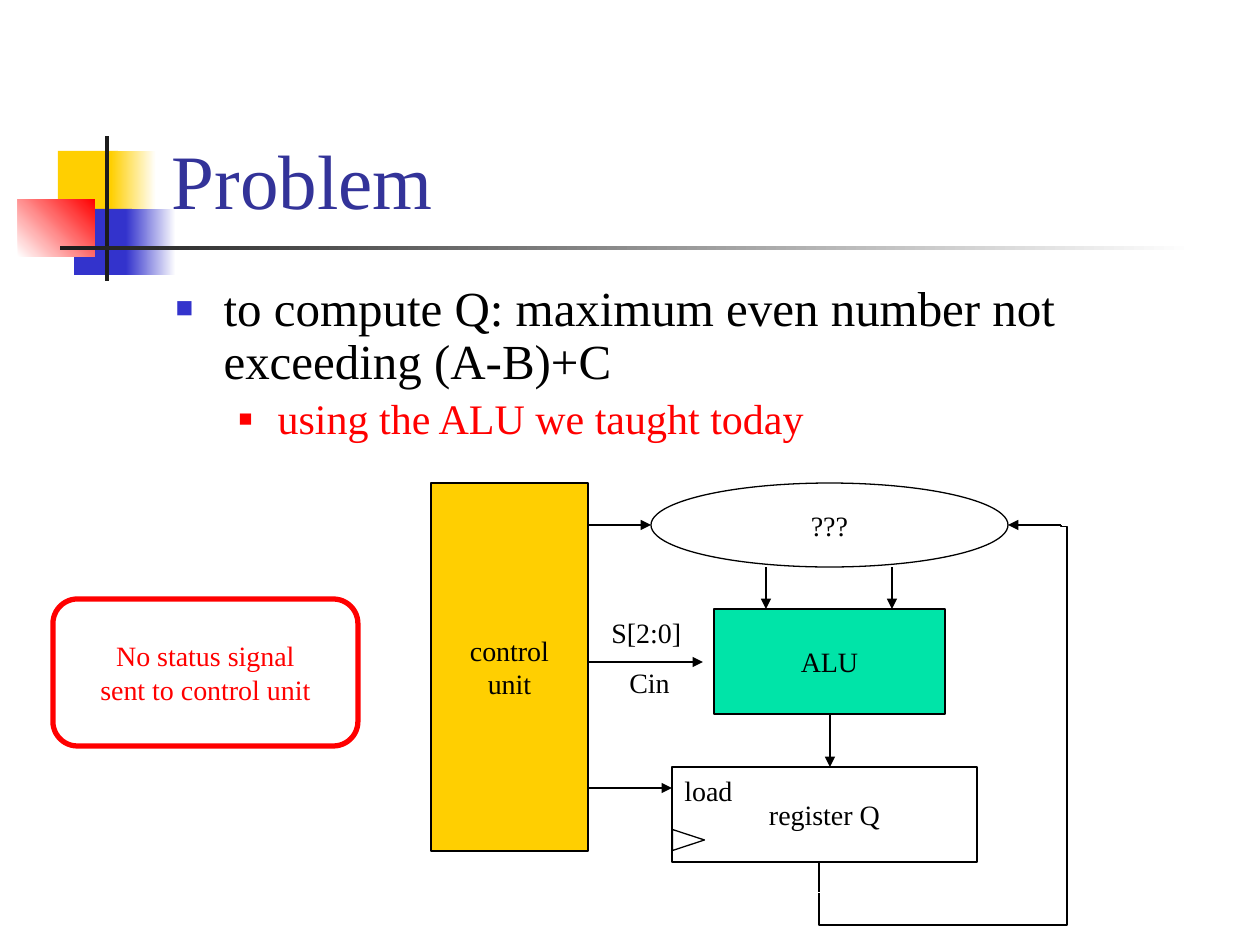
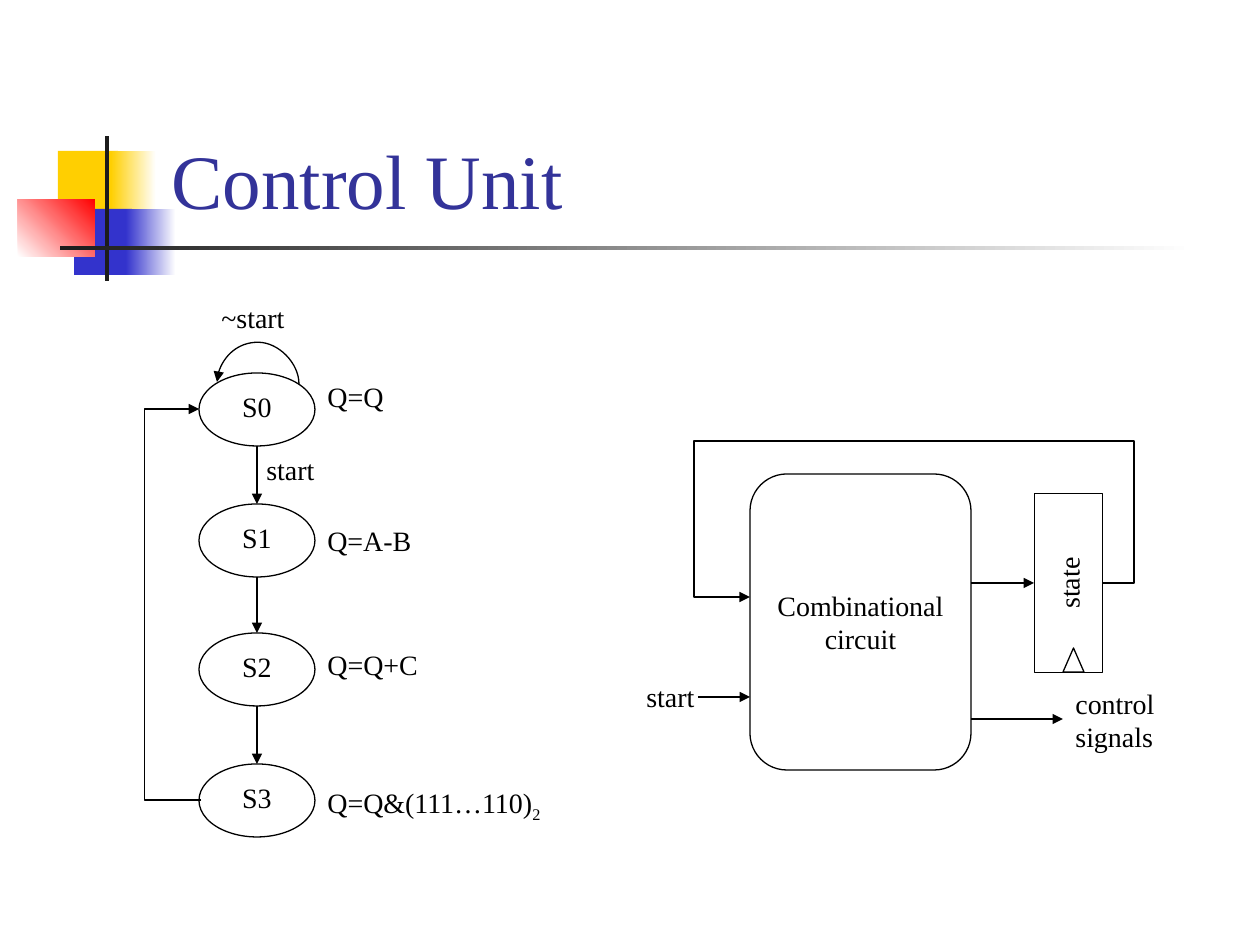
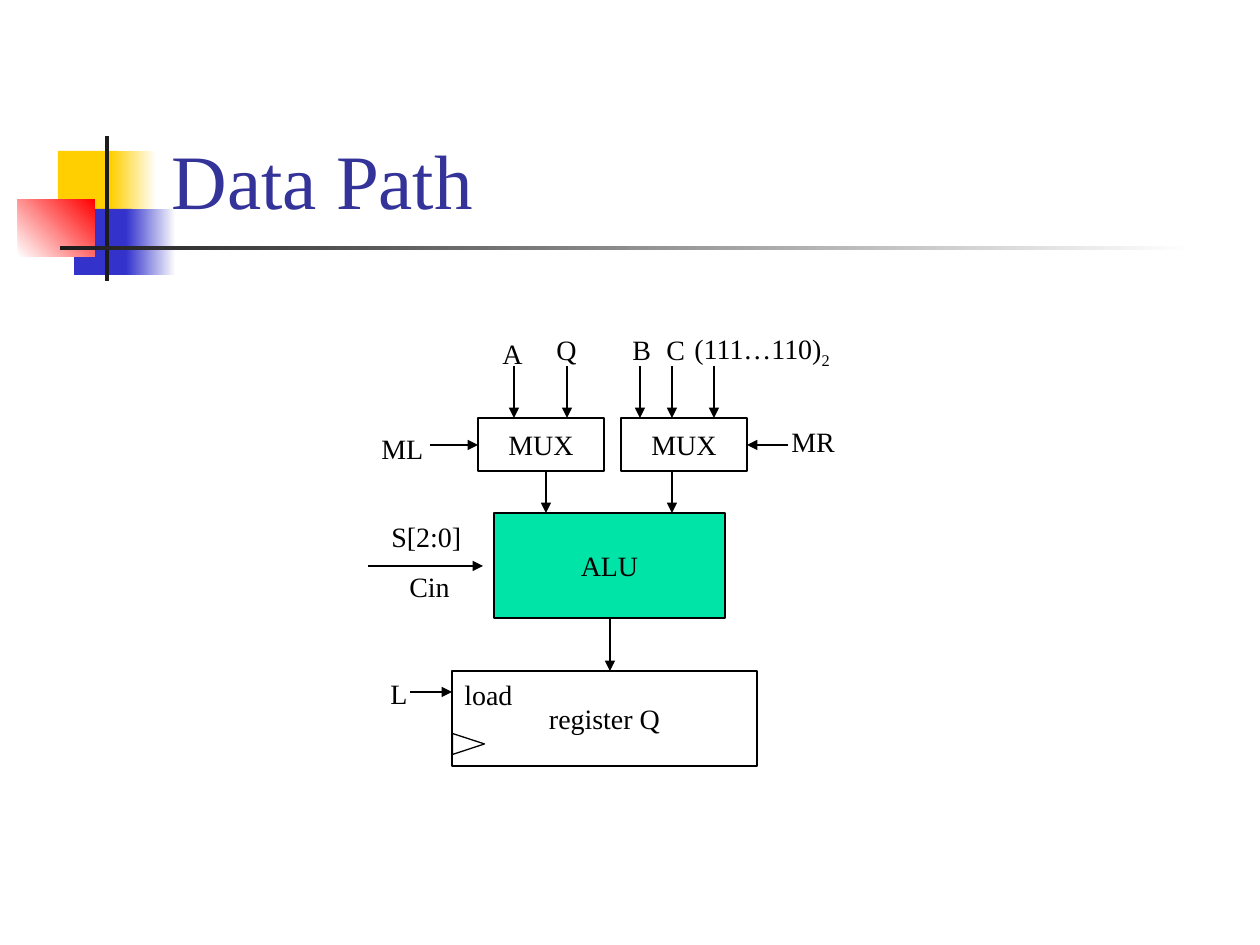
from dataclasses import dataclass

from lxml.etree import SubElement
from pptx import Presentation
from pptx.dml.color import RGBColor as Rgb
from pptx.enum.shapes import MSO_CONNECTOR as Wire, MSO_SHAPE as Form
from pptx.enum.text import MSO_ANCHOR as Anchor, MSO_AUTO_SIZE as Fit, PP_ALIGN as Align
from pptx.oxml.ns import qn
from pptx.util import Emu, Pt

SCALE = 914400 / 126


@dataclass(frozen=True)
class Theme:
    """Colours, font and type sizes of the deck."""
    font: str = "Times New Roman"
    ink: str = "000000"
    title: str = "333399"
    gold: str = "FFCF01"
    blue: str = "3333CC"
    red: str = "FF0000"
    dark: str = "1C1C1C"
    white: str = "FFFFFF"
    green: str = "00E4A8"
    head: int = 44
    lead: int = 28
    sub: int = 24
    text: int = 16
    thin: float = 0.75
    bold: float = 3


def px(*vals):
    """Turn pixels into EMU."""
    return [Emu(round(v * SCALE)) for v in vals]


class Deck:
    """Holds the theme and the current slide, and draws on it."""

    def __init__(self, theme):
        """Open a blank deck of 1260 by 945 pixels."""
        self.theme = theme
        self.prs = Presentation()
        self.prs.slide_width, self.prs.slide_height = px(1260, 945)
        self.slide = None

    def page(self, title, layout=5):
        """Add a slide with its title; the first one also sets up the master."""
        first = self.slide is None
        self.slide = self.prs.slides.add_slide(self.prs.slide_layouts[layout])
        if first:
            self.band()
        head = self.slide.shapes.title
        self.place(head, (159, 29, 1074, 202))
        frame = head.text_frame
        frame.vertical_anchor = Anchor.BOTTOM
        frame.auto_size = Fit.NONE
        self.words(frame, title, self.theme.head, self.theme.title, Align.LEFT)

    def band(self):
        """Draw the ornament once and hand it to the master."""
        t = self.theme
        parts = [
            ((58, 151, 60, 66), t.gold, None, 0),
            ((111, 151, 45, 66), t.gold, t.white, 0),
            ((74, 209, 58, 66), t.blue, None, 0),
            ((126, 209, 50, 66), t.blue, t.white, 0),
            ((18, 199, 77, 58), t.white, t.red, 45),
            ((105, 136, 4, 145), t.dark, None, 0),
            ((60, 246, 1134, 4), t.dark, t.white, 0),
        ]
        tree = self.prs.slide_master.shapes.element
        for i, (box, start, end, angle) in enumerate(parts):
            part = self.shape(Form.RECTANGLE, box, fill=start)
            part.line.fill.background()
            if end:
                part.fill.gradient()
                part.fill.gradient_angle = angle
                for stop, tint in zip(part.fill.gradient_stops, (start, end)):
                    stop.color.rgb = Rgb.from_string(tint)
            part.element.nvSpPr.cNvPr.set("id", str(100 + i))
            tree.insert(2 + i, part.element)

    def place(self, item, box):
        """Set the place and size of an item."""
        item.left, item.top, item.width, item.height = px(*box)

    def run(self, para, text, size, color):
        """Add one styled run."""
        run = para.add_run()
        run.text = text
        run.font.name = self.theme.font
        run.font.size = Pt(size)
        run.font.color.rgb = Rgb.from_string(color)
        return run

    def words(self, frame, text, size, color, align):
        """Fill a frame; lines become paragraphs, an underscore starts a subscript."""
        for i, line in enumerate(text.split("\n")):
            para = frame.add_paragraph() if i else frame.paragraphs[0]
            para.alignment = align
            main, _, low = line.partition("_")
            self.run(para, main, size, color)
            if low:
                small = self.run(para, low, size, color)
                small._r.get_or_add_rPr().set("baseline", "-25000")

    def bullets(self, box, items):
        """Fill the body with (text, level) items."""
        t = self.theme
        looks = [(t.lead, t.ink, t.blue, 60, 48, 48), (t.sub, t.red, t.red, 55, 102, 39)]
        body = self.slide.placeholders[1]
        self.place(body, box)
        frame = body.text_frame
        frame.auto_size = Fit.NONE
        for i, (text, level) in enumerate(items):
            size, color, mark, part, left, hang = looks[level]
            para = frame.add_paragraph() if i else frame.paragraphs[0]
            para.level = level
            para.line_spacing = 0.9
            self.run(para, text, size, color)
            prop = para._p.get_or_add_pPr()
            prop.set("marL", str(px(left)[0]))
            prop.set("indent", str(px(-hang)[0]))
            tint = SubElement(prop, qn("a:buClr"))
            SubElement(tint, qn("a:srgbClr"), val=mark)
            SubElement(prop, qn("a:buSzPct"), val=str(part * 1000))
            SubElement(prop, qn("a:buFont"), typeface=t.font)
            SubElement(prop, qn("a:buChar"), char="■")

    def shape(self, form, box, text="", fill=None, color=None, width=None,
              spin=0, wrap=False, anchor=Anchor.MIDDLE):
        """Draw an outlined shape with centred text."""
        t = self.theme
        item = self.slide.shapes.add_shape(form, *px(*box))
        item.shadow.inherit = False
        item.rotation = spin
        if fill:
            item.fill.solid()
            item.fill.fore_color.rgb = Rgb.from_string(fill)
        else:
            item.fill.background()
        item.line.color.rgb = Rgb.from_string(color or t.ink)
        item.line.width = Pt(width or t.thin)
        if text:
            frame = item.text_frame
            frame.word_wrap = wrap
            frame.vertical_anchor = anchor
            self.words(frame, text, t.text, color or t.ink, Align.CENTER)
        return item

    def label(self, x, y, width, text, high=46):
        """Add a plain text box."""
        item = self.slide.shapes.add_textbox(*px(x, y, width, high))
        frame = item.text_frame
        frame.word_wrap = False
        frame.auto_size = Fit.SHAPE_TO_FIT_TEXT
        self.words(frame, text, self.theme.text, self.theme.ink, Align.LEFT)

    def line(self, x1, y1, x2, y2, tip=True, kind=Wire.STRAIGHT):
        """Draw a connector, with an arrowhead at its end if asked."""
        item = self.slide.shapes.add_connector(kind, *px(x1, y1, x2, y2))
        item.line.color.rgb = Rgb.from_string(self.theme.ink)
        item.line.width = Pt(self.theme.thin)
        prop = item.element.spPr
        if tip:
            SubElement(prop.find(qn("a:ln")), qn("a:tailEnd"), type="triangle")
        SubElement(prop, qn("a:effectLst"))
        return item

    def link(self, box, turns, spin=0, flip="", tip=True, kind="bent"):
        """Draw a connector whose turns lie at pixel offsets from its start."""
        x, y, w, h = box
        item = self.line(x, y, x + w, y + h, tip, Wire.ELBOW)
        prop = item.element.spPr
        frame = prop.find(qn("a:xfrm"))
        frame.set("rot", str(spin * 60000))
        for axis in flip:
            frame.set("flip" + axis, "1")
        geom = prop.find(qn("a:prstGeom"))
        geom.set("prst", f"{kind}Connector{len(turns) + 2}")
        guides = geom.find(qn("a:avLst"))
        for i, turn in enumerate(turns):
            ratio = round(turn / (h if i % 2 else w) * 100000)
            SubElement(guides, qn("a:gd"), name=f"adj{i + 1}", fmla=f"val {ratio}")

    def core(self, x, y, reach):
        """Draw the ALU with its corner at x, y, and register Q below it."""
        self.shape(Form.RECTANGLE, (x, y, 231, 105), "ALU", self.theme.green)
        self.line(x + 116, y + 105, x + 116, y + 158)
        left, top = x - 42, y + 158
        self.shape(Form.RECTANGLE, (left, top, 305, 95), "register Q")
        self.shape(Form.ISOSCELES_TRIANGLE, (left + 6, top + 57, 21, 32), spin=90)
        self.label(left, top, 74, "load")
        self.line(left - reach, top + 21, left, top + 21)
        for gap in (52, 178):
            self.line(x + gap, y - 42, x + gap, y)
        self.line(x - 126, y + 53, x - 11, y + 53)
        self.label(x - 115, y, 96, "S[2:0]")
        self.label(x - 97, y + 50, 66, "Cin")


def problem(deck):
    """Slide 1: the task and the machine as a whole."""
    t = deck.theme
    deck.page("Problem", 1)
    deck.bullets((163, 278, 1071, 184), [
        ("to compute Q: maximum even number not exceeding (A-B)+C", 0),
        ("using the ALU we taught today", 1),
    ])
    deck.link((756, 588, 368, 242), (-32, 248, 366), 90, "HV", False)
    deck.core(714, 609, 84)
    deck.line(819, 861, 819, 892, False)
    deck.shape(Form.OVAL, (651, 483, 357, 84), "???")
    deck.line(1061, 525, 1008, 525)
    deck.shape(Form.RECTANGLE, (431, 483, 157, 368), "control\nunit", t.gold)
    deck.line(588, 525, 651, 525)
    deck.shape(Form.ROUNDED_RECTANGLE, (53, 599, 305, 147),
               "No status signal\nsent to control unit", t.white, t.red, t.bold)


def control(deck):
    """Slide 2: the state graph and the circuit for it."""
    deck.page("Control Unit")
    tops = (373, 504, 633, 764)
    notes = ((373, 82, "Q=Q"), (517, 111, "Q=A-B"),
             (641, 117, "Q=Q+C"), (779, 247, "Q=Q&(111…110)_2"))
    for i, (top, (y, width, note)) in enumerate(zip(tops, notes)):
        deck.shape(Form.OVAL, (199, top, 116, 73), f"S{i}", anchor=Anchor.TOP)
        deck.label(315, y, width, note)
    for top, low in zip(tops, tops[1:]):
        deck.line(257, top + 73, 257, low)
    deck.link((257, 342, 2, 82), (42,), 270, "V", kind="curved")
    deck.link((199, 409, 2, 391), (57,), 180)
    deck.label(209, 294, 89, "~start")
    deck.label(254, 446, 74, "start")

    deck.shape(Form.RECTANGLE, (979, 549, 179, 68), "state", spin=270)
    deck.shape(Form.ISOSCELES_TRIANGLE, (1063, 648, 21, 24))
    deck.shape(Form.ROUNDED_RECTANGLE, (750, 474, 221, 296),
               "Combinational circuit", wrap=True)
    deck.line(971, 583, 1034, 583)
    deck.link((750, 583, 352, 14), (-32, -142, 408), flip="H")
    deck.line(698, 697, 750, 697)
    deck.label(634, 673, 74, "start")
    deck.line(971, 719, 1063, 719)
    deck.label(1063, 680, 106, "control\nsignals", 81)


def data(deck):
    """Slide 3: the data path with its two selectors."""
    deck.page("Data Path")
    deck.core(494, 513, 42)
    for x in (478, 621):
        deck.shape(Form.RECTANGLE, (x, 418, 126, 53), "MUX")
    for x in (514, 567, 640, 672, 714):
        deck.line(x, 366, x, 418)
    deck.line(430, 445, 478, 445)
    deck.line(788, 445, 747, 445)
    for spot in (
        (490, 330, 45, "A"), (544, 326, 45, "Q"), (620, 326, 44, "B"),
        (654, 326, 44, "C"), (682, 325, 169, "(111…110)_2"),
        (378, 670, 43, "L"), (369, 425, 68, "ML"), (779, 418, 69, "MR"),
    ):
        deck.label(*spot)


def main():
    """Build the three slides and save them."""
    deck = Deck(Theme())
    problem(deck)
    control(deck)
    data(deck)
    deck.prs.save("out.pptx")


main()
